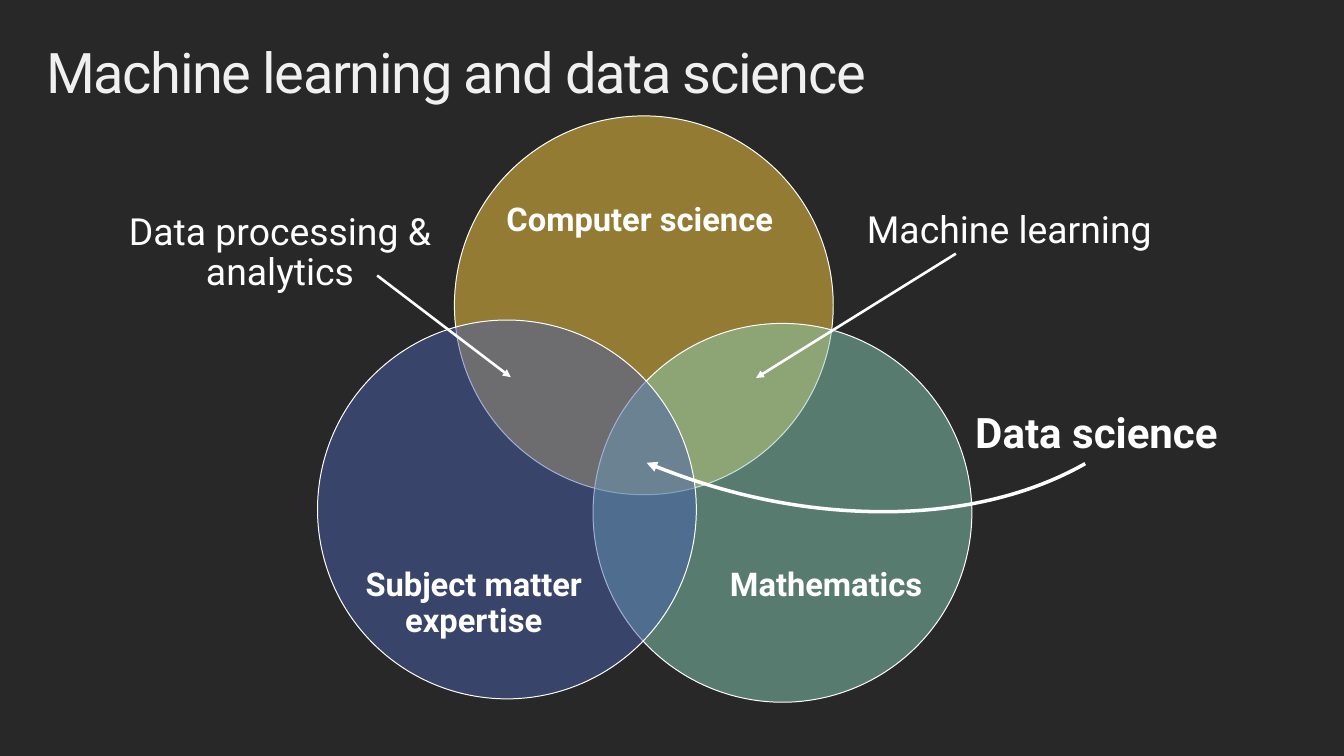
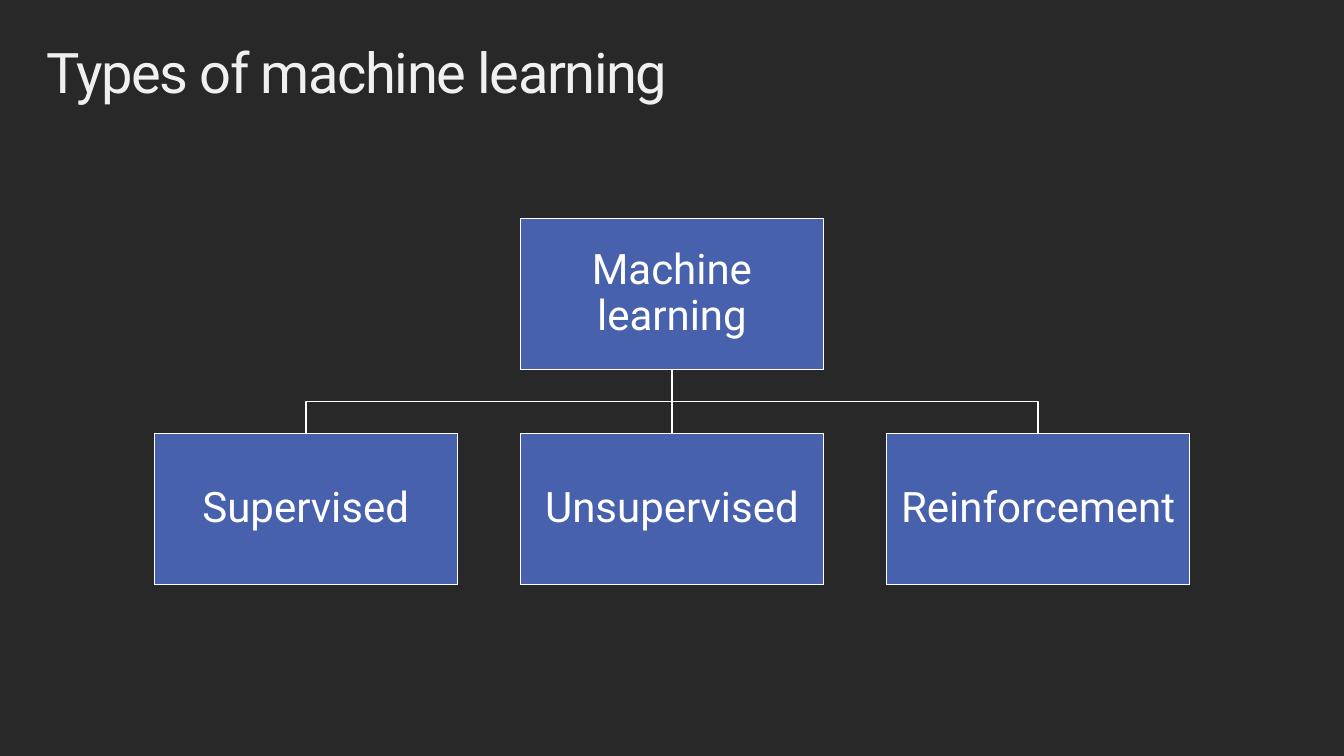
from lxml.etree import SubElement
from pptx import Presentation
from pptx.dml.color import RGBColor
from pptx.enum.shapes import MSO_CONNECTOR as CONNECTOR, MSO_SHAPE as SHAPE
from pptx.enum.text import MSO_ANCHOR as ANCHOR, MSO_AUTO_SIZE as AUTO_SIZE, PP_ALIGN as ALIGN
from pptx.oxml.ns import qn
from pptx.util import Inches, Pt

BACKGROUND = RGBColor(0x28, 0x28, 0x28)
TITLE = RGBColor(0xF0, 0xF0, 0xF0)
WHITE = RGBColor(0xFF, 0xFF, 0xFF)
GOLD = RGBColor(0xFF, 0xCE, 0x3F)
MINT = RGBColor(0x88, 0xCE, 0xB8)
BLUE = RGBColor(0x48, 0x61, 0xAD)
FONT = "Roboto"
OUTLINE = 0.85
CIRCLE = 4.51
BOX_WIDTH, BOX_HEIGHT = 3.61, 1.8
CENTER, BOX_STEP = 8, 4.36
ROOT_TOP, CHILD_TOP = 2.6, 5.16


def set_text(frame, text, size, color=WHITE, bold=False, align=ALIGN.LEFT, inset=(0.2, 0.16)):
    frame.text = text
    frame.margin_left = frame.margin_right = Inches(inset[0])
    frame.margin_top = frame.margin_bottom = Inches(inset[1])
    paragraph = frame.paragraphs[0]
    paragraph.alignment = align
    paragraph.line_spacing = 0.9
    run = paragraph.runs[0]
    run.font.name = FONT
    run.font.size = Pt(size)
    run.font.bold = bold
    run.font.color.rgb = color
    return run


def set_line(shape, width, arrow=False):
    shape.line.color.rgb = WHITE
    shape.line.width = Pt(width)
    if arrow:
        outline = shape._element.spPr.find(qn("a:ln"))
        SubElement(outline, qn("a:tailEnd")).set("type", "triangle")


def add_titled_slide(prs, text):
    slide = prs.slides.add_slide(prs.slide_layouts[5])
    title = slide.shapes.title
    title.left, title.top = Inches(0.35), Inches(0.38)
    title.width, title.height = Inches(15.29), Inches(1.18)
    title.text_frame.vertical_anchor = ANCHOR.TOP
    title.text_frame.auto_size = AUTO_SIZE.NONE
    run = set_text(title.text_frame, text, 48, TITLE)
    run._r.get_or_add_rPr().set("spc", "-120")
    return slide


def add_preset(slide, preset, left, top, width, height, line_width, fill=None):
    shape = slide.shapes.add_shape(preset, Inches(left), Inches(top), Inches(width), Inches(height))
    shape.shadow.inherit = False
    if fill is None:
        shape.fill.background()
    else:
        shape.fill.solid()
        shape.fill.fore_color.rgb = fill
    set_line(shape, line_width)
    return shape


def add_circle(slide, left, top, color):
    circle = add_preset(slide, SHAPE.OVAL, left, top, CIRCLE, CIRCLE, OUTLINE, color)
    tint = circle._element.spPr.find(qn("a:solidFill")).find(qn("a:srgbClr"))
    SubElement(tint, qn("a:alpha")).set("val", "50000")


def add_label(slide, text, left, top, width, height, size, bold=False, wrap=False):
    label = slide.shapes.add_textbox(Inches(left), Inches(top), Inches(width), Inches(height))
    frame = label.text_frame
    frame.word_wrap = wrap
    frame.auto_size = AUTO_SIZE.SHAPE_TO_FIT_TEXT
    set_text(frame, text, size, bold=bold, align=ALIGN.CENTER if wrap else ALIGN.LEFT)


def add_line(slide, start, end, width, arrow=False):
    ends = [Inches(value) for value in (*start, *end)]
    line = slide.shapes.add_connector(CONNECTOR.STRAIGHT, *ends)
    set_line(line, width, arrow)
    SubElement(line._element.spPr, qn("a:effectLst"))
    return line


def add_curved_arrow(slide):
    curve = add_preset(slide, SHAPE.ARC, 5.38, -3.43, 7.51, 10.94, 3)
    curve.adjustments[0] = 174.06
    curve.adjustments[1] = 0
    curve.rotation = 112.5
    set_line(curve, 3, arrow=True)


def add_box(slide, text, center, top):
    box = add_preset(slide, SHAPE.RECTANGLE, center - BOX_WIDTH / 2, top,
                     BOX_WIDTH, BOX_HEIGHT, OUTLINE, BLUE)
    box.text_frame.word_wrap = True
    box.text_frame.vertical_anchor = ANCHOR.MIDDLE
    set_text(box.text_frame, text, 36, align=ALIGN.CENTER, inset=(0.03, 0.03))
    return box


def add_branch(slide, child_center):
    root_bottom = ROOT_TOP + BOX_HEIGHT
    middle = (root_bottom + CHILD_TOP) / 2
    corners = [(CENTER, middle), (child_center, middle), (child_center, CHILD_TOP)]
    builder = slide.shapes.build_freeform(Inches(CENTER), Inches(root_bottom))
    builder.add_line_segments([(Inches(x), Inches(y)) for x, y in corners], close=False)
    branch = builder.convert_to_shape()
    branch.shadow.inherit = False
    branch.fill.background()
    set_line(branch, 1.5)


def build_venn(prs):
    slide = add_titled_slide(prs, "Machine learning and data science")
    for left, top, color in ((5.41, 1.38, GOLD), (7.06, 3.85, MINT), (3.78, 3.81, BLUE)):
        add_circle(slide, left, top, color)
    add_label(slide, "Machine learning", 10.12, 2.36, 4, 0.81, 32)
    add_label(slide, "Data processing & analytics", 0.92, 2.38, 4.83, 1.29, 32, wrap=True)
    add_label(slide, "Data science", 11.41, 4.75, 3.42, 0.87, 36, bold=True)
    add_line(slide, (11.38, 3.02), (9, 4.5), 2.25, arrow=True)
    add_line(slide, (4.49, 3.28), (6.08, 4.49), 2.25, arrow=True)
    add_label(slide, "Mathematics", 8.49, 6.61, 2.77, 0.75, 28, bold=True)
    add_label(slide, "Subject matter expertise", 3.8, 6.61, 3.68, 1.17, 28, bold=True, wrap=True)
    add_label(slide, "Computer science", 5.83, 2.26, 3.73, 0.75, 28, bold=True)
    add_curved_arrow(slide)


def build_types(prs):
    slide = add_titled_slide(prs, "Types of machine learning")
    for side in (1, -1):
        add_branch(slide, CENTER + side * BOX_STEP)
    trunk = add_line(slide, (CENTER, ROOT_TOP + BOX_HEIGHT), (CENTER, CHILD_TOP), 1.5)
    root = add_box(slide, "Machine learning", CENTER, ROOT_TOP)
    supervised, unsupervised, reinforcement = [
        add_box(slide, text, CENTER + (column - 1) * BOX_STEP, CHILD_TOP)
        for column, text in enumerate(("Supervised", "Unsupervised", "Reinforcement"))
    ]
    trunk.begin_connect(root, 2)
    trunk.end_connect(unsupervised, 0)


def main():
    prs = Presentation()
    prs.slide_width, prs.slide_height = Inches(16), Inches(9)
    backdrop = prs.slide_master.background.fill
    backdrop.solid()
    backdrop.fore_color.rgb = BACKGROUND
    build_venn(prs)
    build_types(prs)
    prs.save("out.pptx")


if __name__ == "__main__":
    main()
